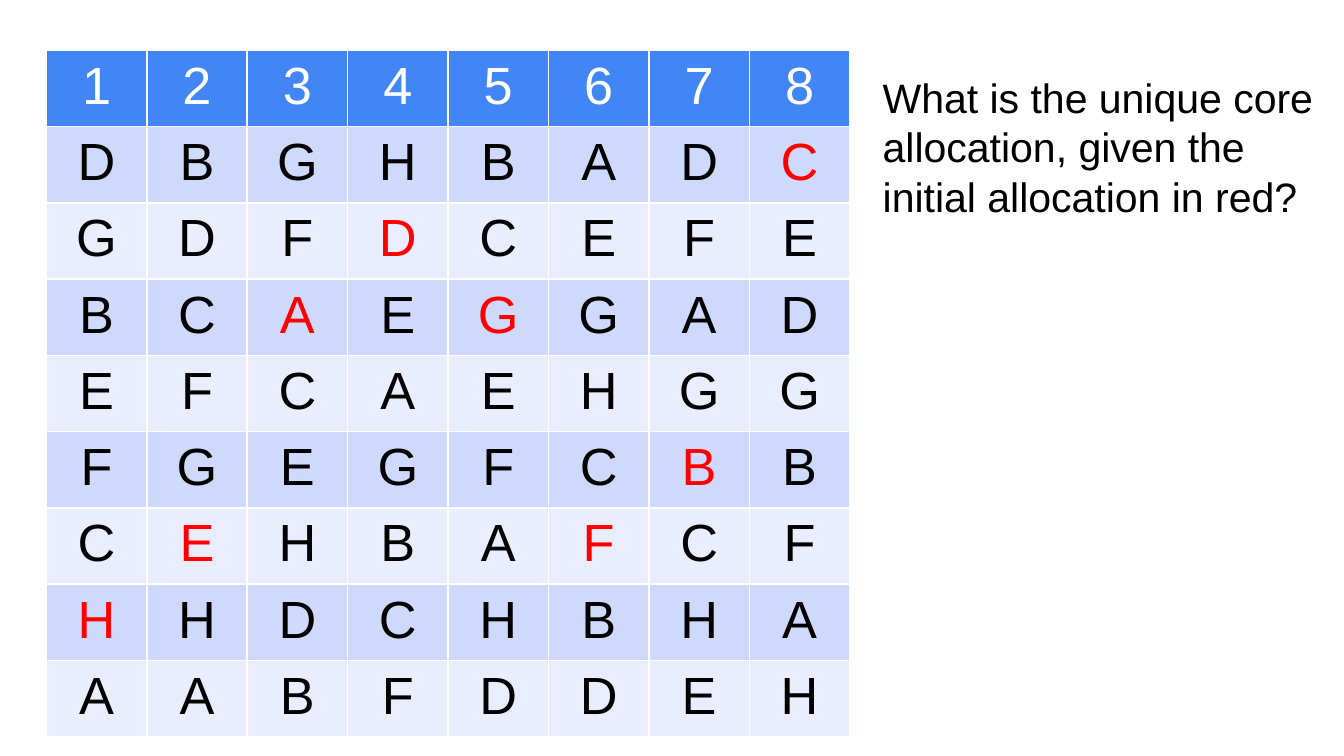
from lxml.etree import SubElement
from pptx import Presentation
from pptx.dml.color import RGBColor
from pptx.enum.text import MSO_AUTO_SIZE, PP_ALIGN
from pptx.oxml.ns import qn
from pptx.util import Pt

FONT = "Arial"
BLACK, WHITE, RED = "000000", "FFFFFF", "FF0000"
HEADER_FILL = "4285F4"
BAND_FILLS = ("CFD9FB", "E9EDFD")

AGENTS = "12345678"
# Preferences of all agents, best choice in the first row
PREFERENCES = (
    "DBGHBADC",
    "GDFDCEFE",
    "BCAEGGAD",
    "EFCAEHGG",
    "FGEGFCBB",
    "CEHBAFCF",
    "HHDCHBHA",
    "AABFDDEH",
)
# Item that each agent holds at the start
INITIAL_ALLOCATION = "HEADGFBC"


def color(value):
    return RGBColor.from_string(value)


def style_paragraph(para, size, text_color):
    para.font.name = FONT
    para.font.size = Pt(size)
    para.font.color.rgb = color(text_color)


def add_borders(cell, width, line_color):
    properties = cell._tc.get_or_add_tcPr()
    for side in ("a:lnL", "a:lnR", "a:lnT", "a:lnB"):
        line = SubElement(properties, qn(side), w=str(Pt(width)))
        fill = SubElement(line, qn("a:solidFill"))
        SubElement(fill, qn("a:srgbClr"), val=line_color)


def fill_cell(cell, text, fill_color, text_color):
    add_borders(cell, 1, WHITE)
    cell.fill.solid()
    cell.fill.fore_color.rgb = color(fill_color)
    cell.text = text
    para = cell.text_frame.paragraphs[0]
    para.alignment = PP_ALIGN.CENTER
    style_paragraph(para, 28, text_color)


def add_preference_table(page):
    rows, columns = len(PREFERENCES) + 1, len(AGENTS)
    column_width, row_height = 53.82, 40.8
    table = page.shapes.add_table(
        rows, columns, Pt(24.8), Pt(27),
        Pt(column_width * columns), Pt(row_height * rows),
    ).table
    for column in table.columns:
        column.width = Pt(column_width)
    for row in table.rows:
        row.height = Pt(row_height)

    # Header with the agents
    for column, agent in enumerate(AGENTS):
        fill_cell(table.cell(0, column), agent, HEADER_FILL, WHITE)

    # Ranked items, the initial allocation in red
    for rank, items in enumerate(PREFERENCES):
        for column, item in enumerate(items):
            text_color = RED if item == INITIAL_ALLOCATION[column] else BLACK
            fill_cell(table.cell(rank + 1, column), item,
                      BAND_FILLS[rank % 2], text_color)


def add_question(page, text):
    box = page.shapes.add_textbox(Pt(465.8), Pt(35.3), Pt(254.2), Pt(87.1))
    frame = box.text_frame
    frame.word_wrap = True
    frame.auto_size = MSO_AUTO_SIZE.SHAPE_TO_FIT_TEXT
    frame.text = text
    style_paragraph(frame.paragraphs[0], 22, BLACK)


def main():
    deck = Presentation()
    deck.slide_width, deck.slide_height = Pt(720), Pt(405)
    page = deck.slides.add_slide(deck.slide_layouts[6])
    add_question(page, "What is the unique core allocation, "
                       "given the initial allocation in red?")
    add_preference_table(page)
    deck.save("out.pptx")


if __name__ == "__main__":
    main()
